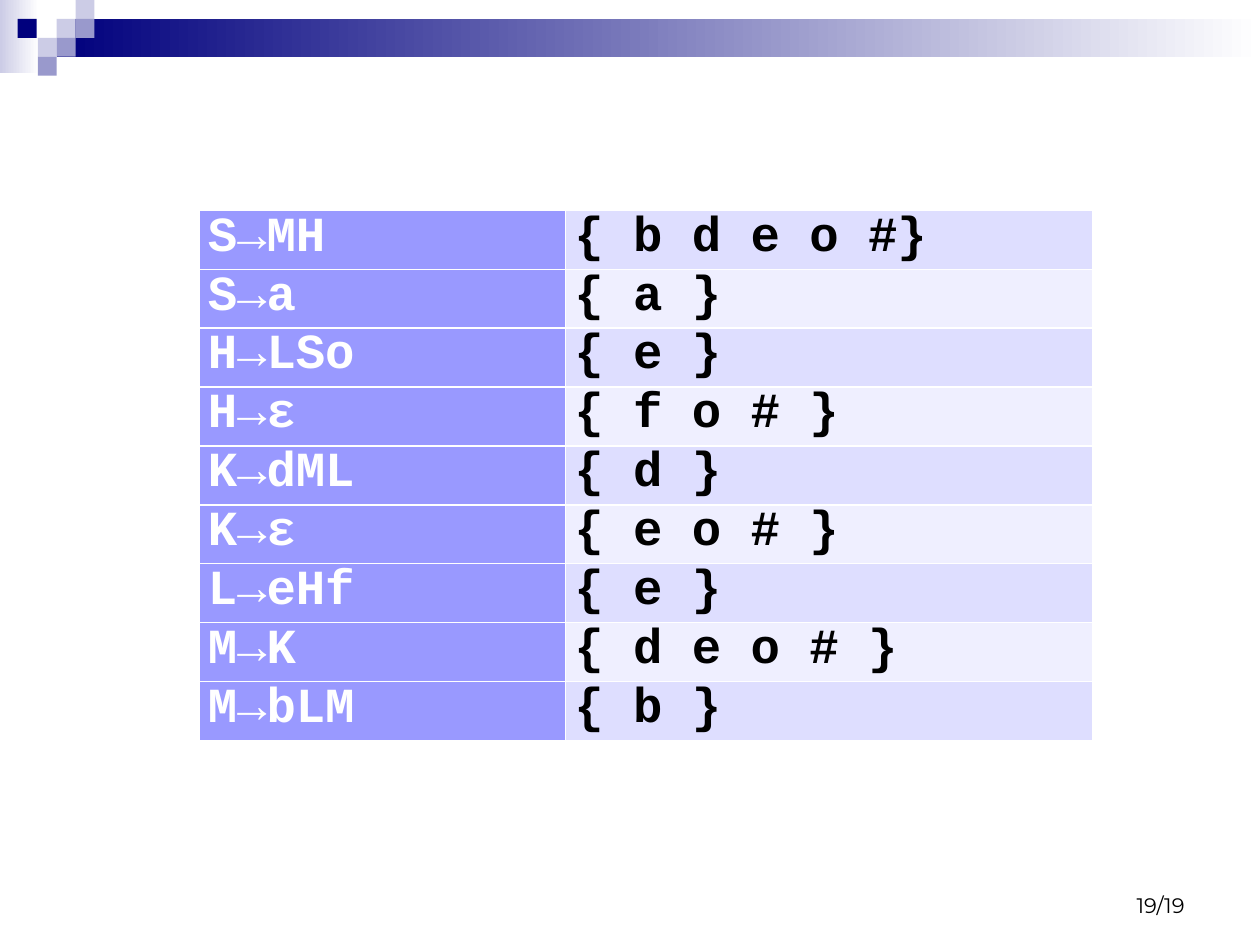
from lxml import etree
from pptx import Presentation
from pptx.dml.color import RGBColor
from pptx.enum.shapes import MSO_SHAPE
from pptx.enum.text import MSO_ANCHOR, PP_ALIGN
from pptx.oxml import parse_xml
from pptx.util import Inches, Pt

RECT = MSO_SHAPE.RECTANGLE
BOTTOM = MSO_ANCHOR.BOTTOM
RIGHT, JUSTIFY = PP_ALIGN.RIGHT, PP_ALIGN.JUSTIFY
NS = "http://schemas.openxmlformats.org/drawingml/2006/main"
COLORS = {"navy": "00007D", "pale": "CCCCE6", "mid": "9999CC", "white": "FFFFFF",
          "black": "000000", "rule": "9999FF", "odd": "DEDEFF", "even": "EFEFFF"}
RULE_FONT = {"name": "Courier New", "size": Pt(28), "bold": True}
PAGE_FONT = {"name": "Montserrat", "size": Pt(12)}


def rgb(name):
    return RGBColor.from_string(COLORS[name])


class SlideBuilder:
    """Draws styled elements on the current slide."""

    def __init__(self, s):
        self.s = s

    def rect(self, x, y, w, h, color, fade_to=None):
        sp = self.s.shapes.add_shape(RECT, Inches(x), Inches(y), Inches(w), Inches(h))
        sp.shadow.inherit = False
        sp.line.fill.background()
        if fade_to:
            sp.fill.gradient()
            sp.fill.gradient_angle = 0
            for stop, name in zip(sp.fill.gradient_stops, (color, fade_to)):
                stop.color.rgb = rgb(name)
        else:
            sp.fill.solid()
            sp.fill.fore_color.rgb = rgb(color)

    def add_text(self, tf, text, font, color, align):
        p = tf.paragraphs[0]
        p.alignment = align
        r = p.add_run()
        r.text = text
        for key, value in font.items():
            setattr(r.font, key, value)
        r.font.color.rgb = rgb(color)

    def text_box(self, x, y, w, h, text, font, color, align):
        tf = self.s.shapes.add_textbox(Inches(x), Inches(y), Inches(w), Inches(h)).text_frame
        tf.word_wrap = True
        tf.vertical_anchor = BOTTOM
        self.add_text(tf, text, font, color, align)

    def border(self, cell, color):
        tc_pr = cell._tc.get_or_add_tcPr()
        for i, side in enumerate(("lnL", "lnR", "lnT", "lnB")):
            ln = parse_xml(f'<a:{side} xmlns:a="{NS}" w="{Pt(1)}"/>')
            fill = etree.SubElement(ln, f"{{{NS}}}solidFill")
            etree.SubElement(fill, f"{{{NS}}}srgbClr", val=COLORS[color])
            tc_pr.insert(i, ln)

    def table(self, x, y, widths, row_height, rows):
        frame = self.s.shapes.add_table(len(rows), len(widths), Inches(x), Inches(y),
                                        Inches(sum(widths)), Inches(row_height * len(rows)))
        table = frame.table
        for column, width in zip(table.columns, widths):
            column.width = Inches(width)
        for i, row in enumerate(rows):
            table.rows[i].height = Inches(row_height)
            styles = (("rule", "white"), ("even" if i % 2 else "odd", "black"))
            for j, (text, (fill, color)) in enumerate(zip(row, styles)):
                cell = table.cell(i, j)
                cell.margin_left = cell.margin_right = Inches(0.07)
                cell.margin_top = cell.margin_bottom = 0
                cell.fill.solid()
                cell.fill.fore_color.rgb = rgb(fill)
                self.border(cell, "white")
                self.add_text(cell.text_frame, text, RULE_FONT, color, JUSTIFY)


prs = Presentation()
prs.slide_width, prs.slide_height = Inches(10), Inches(7.5)
slide = SlideBuilder(prs.slides.add_slide(prs.slide_layouts[6]))

slide.rect(0, 0, 0.31, 0.58, "pale", "white")
slide.rect(0.45, 0.15, 9.55, 0.3, "navy", "white")
SQUARE = 0.15
SQUARES = [(0.45, 0.15, "pale"), (0.6, 0, "pale"), (0.6, 0.15, "mid"), (0.3, 0.3, "pale"),
           (0.14, 0.15, "navy"), (0.45, 0.3, "mid"), (0.3, 0.45, "mid")]
for x, y, color in SQUARES:
    slide.rect(x, y, SQUARE, SQUARE, color)

slide.text_box(7.17, 6.83, 2.33, 0.5, "19/19", PAGE_FONT, "black", RIGHT)

SELECT_SETS = [
    ("S→MH", "{ b d e o #}"),
    ("S→a", "{ a }"),
    ("H→LSo", "{ e }"),
    ("H→ε", "{ f o # }"),
    ("K→dML", "{ d }"),
    ("K→ε", "{ e o # }"),
    ("L→eHf", "{ e }"),
    ("M→K", "{ d e o # }"),
    ("M→bLM", "{ b }"),
]
slide.table(1.58, 1.67, (2.91, 4.18), 0.44, SELECT_SETS)

prs.save("out.pptx")
